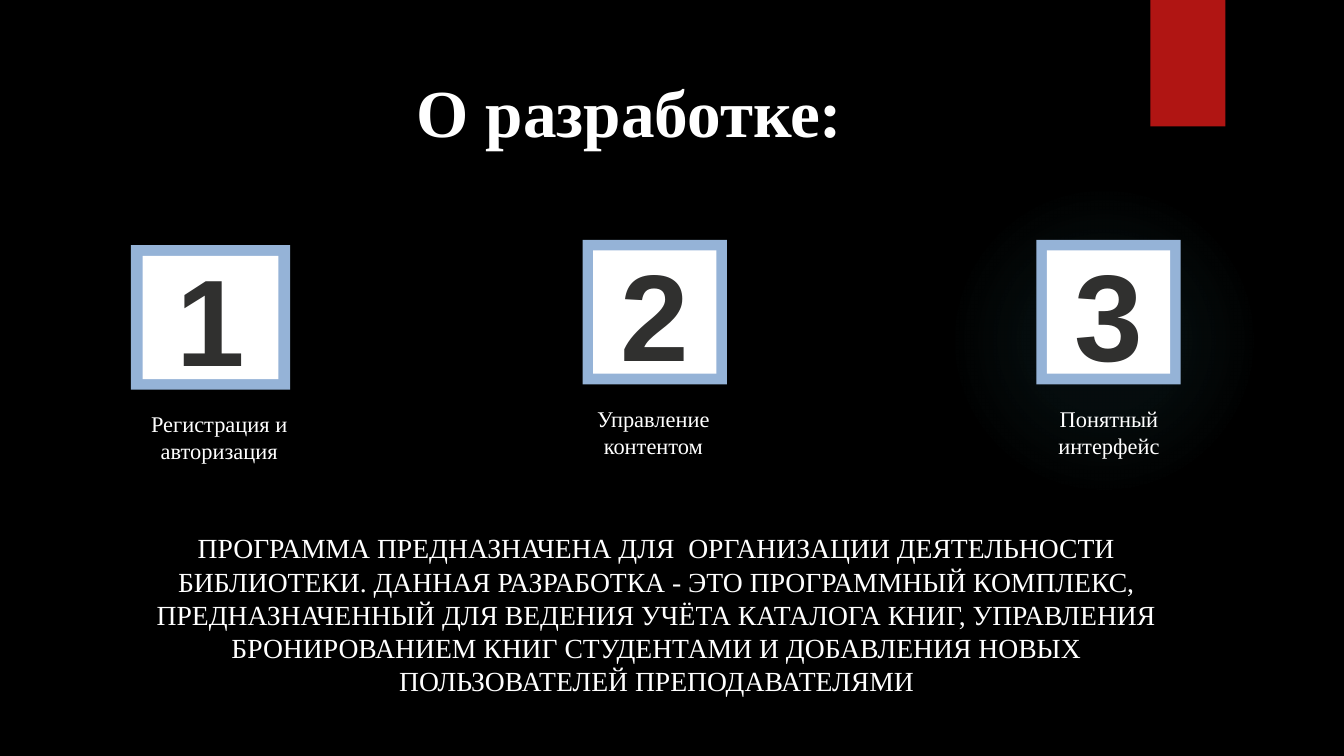
from lxml import etree
from pptx import Presentation
from pptx import util as u
from pptx.dml.color import RGBColor
from pptx.enum import shapes, text
from pptx.oxml import ns

HUES = {"back": "000000", "white": "FFFFFF", "red": "B01513",
        "frame": "95B3D7", "digit": "30302F", "glow": "50B9C1"}
SERIF, SANS = "Times New Roman", "Arial"


def hue(name):
    return RGBColor.from_string(HUES[name])


def place(item, box):
    item.left, item.top, item.width, item.height = map(u.Cm, box)


def write(item, words, size, font=SERIF, color="white", bold=False,
          anchor="TOP", pad=None, before=0, fit="NONE"):
    frame = item.text_frame
    frame.text = words
    frame.word_wrap = True
    frame.auto_size = getattr(text.MSO_AUTO_SIZE, fit)
    frame.vertical_anchor = getattr(text.MSO_ANCHOR, anchor)
    if pad is not None:
        frame.margin_left = frame.margin_right = u.Cm(pad)
        frame.margin_top = frame.margin_bottom = u.Cm(pad)
    for para in frame.paragraphs:
        para.alignment = text.PP_ALIGN.CENTER
        para.space_before = u.Pt(before)
        for run in para.runs:
            run.font.name = font
            run.font.size = u.Pt(size)
            run.font.bold = bold
            run.font.color.rgb = hue(color)


def block(slide, box, color=None, kind="RECTANGLE"):
    item = slide.shapes.add_shape(getattr(shapes.MSO_SHAPE, kind), *map(u.Cm, box))
    item.shadow.inherit = False
    item.line.fill.background()
    if color:
        item.fill.solid()
        item.fill.fore_color.rgb = hue(color)
    return item


def glow(slide, box):
    item = block(slide, box, kind="OVAL")
    grad = etree.Element(ns.qn("a:gradFill"), rotWithShape="1")
    stops = etree.SubElement(grad, ns.qn("a:gsLst"))
    for pos, alpha in ((0, 7), (36, 6), (69, 0)):
        stop = etree.SubElement(stops, ns.qn("a:gs"), pos=f"{pos}000")
        tint = etree.SubElement(stop, ns.qn("a:srgbClr"), val=HUES["glow"])
        etree.SubElement(tint, ns.qn("a:alpha"), val=f"{alpha}000")
    ring = etree.SubElement(grad, ns.qn("a:path"), path="circle")
    etree.SubElement(ring, ns.qn("a:fillToRect"),
                     **dict.fromkeys("ltrb", "50000"))
    item.element.spPr.find(ns.qn("a:prstGeom")).addnext(grad)


def decor(slide):
    slide.background.fill.solid()
    slide.background.fill.fore_color.rgb = hue("back")
    glow(slide, (35.86, 6.99, 11.73, 11.73))
    block(slide, (43.48, 0, 2.84, 4.78), "red")


def card(slide, box, digit, label, shift):
    left, top, width, height = box
    block(slide, box, "frame")
    side, edge = width * 0.074, 0.4
    inner = block(slide, (left + side, top + edge,
                          width - 2 * side, height - 2 * edge), "white")
    write(inner, digit, 132, SANS, "digit", True, "MIDDLE")
    note = slide.shapes.add_textbox(
        *map(u.Cm, (left + shift, top + height + 0.66, 6.05, 2.31)))
    write(note, label, 24)


def cards(slide):
    card(slide, (4.95, 9.27, 6.02, 5.46), "1", "Регистрация и авторизация", 0.31)
    card(slide, (22.02, 9.07, 5.46, 5.46), "2", "Управление контентом", -0.35)
    card(slide, (39.17, 9.07, 5.46, 5.46), "3", "Понятный\nинтерфейс", -0.28)


def heading(slide, box):
    title = slide.shapes.title
    place(title, box)
    write(title, "О разработке:", 72, bold=True, pad=0, fit="SHAPE_TO_FIT_TEXT")


def summary(slide, box):
    body = slide.placeholders[1]
    place(body, box)
    write(body, "ПРОГРАММА ПРЕДНАЗНАЧЕНА ДЛЯ  ОРГАНИЗАЦИИ ДЕЯТЕЛЬНОСТИ "
          "БИБЛИОТЕКИ. ДАННАЯ РАЗРАБОТКА - ЭТО ПРОГРАММНЫЙ КОМПЛЕКС, "
          "ПРЕДНАЗНАЧЕННЫЙ ДЛЯ ВЕДЕНИЯ УЧЁТА КАТАЛОГА КНИГ, УПРАВЛЕНИЯ "
          "БРОНИРОВАНИЕМ КНИГ СТУДЕНТАМИ И ДОБАВЛЕНИЯ НОВЫХ "
          "ПОЛЬЗОВАТЕЛЕЙ ПРЕПОДАВАТЕЛЯМИ", 29.6, before=15)


def main():
    deck = Presentation()
    deck.slide_width, deck.slide_height = u.Cm(50.8), u.Cm(28.58)
    slide = deck.slides.add_slide(deck.slide_layouts[0])
    decor(slide)
    heading(slide, (7.62, 2.64, 32.36, 3.07))
    summary(slide, (4.72, 19.96, 40.21, 5.92))
    cards(slide)
    deck.save("out.pptx")


if __name__ == "__main__":
    main()
